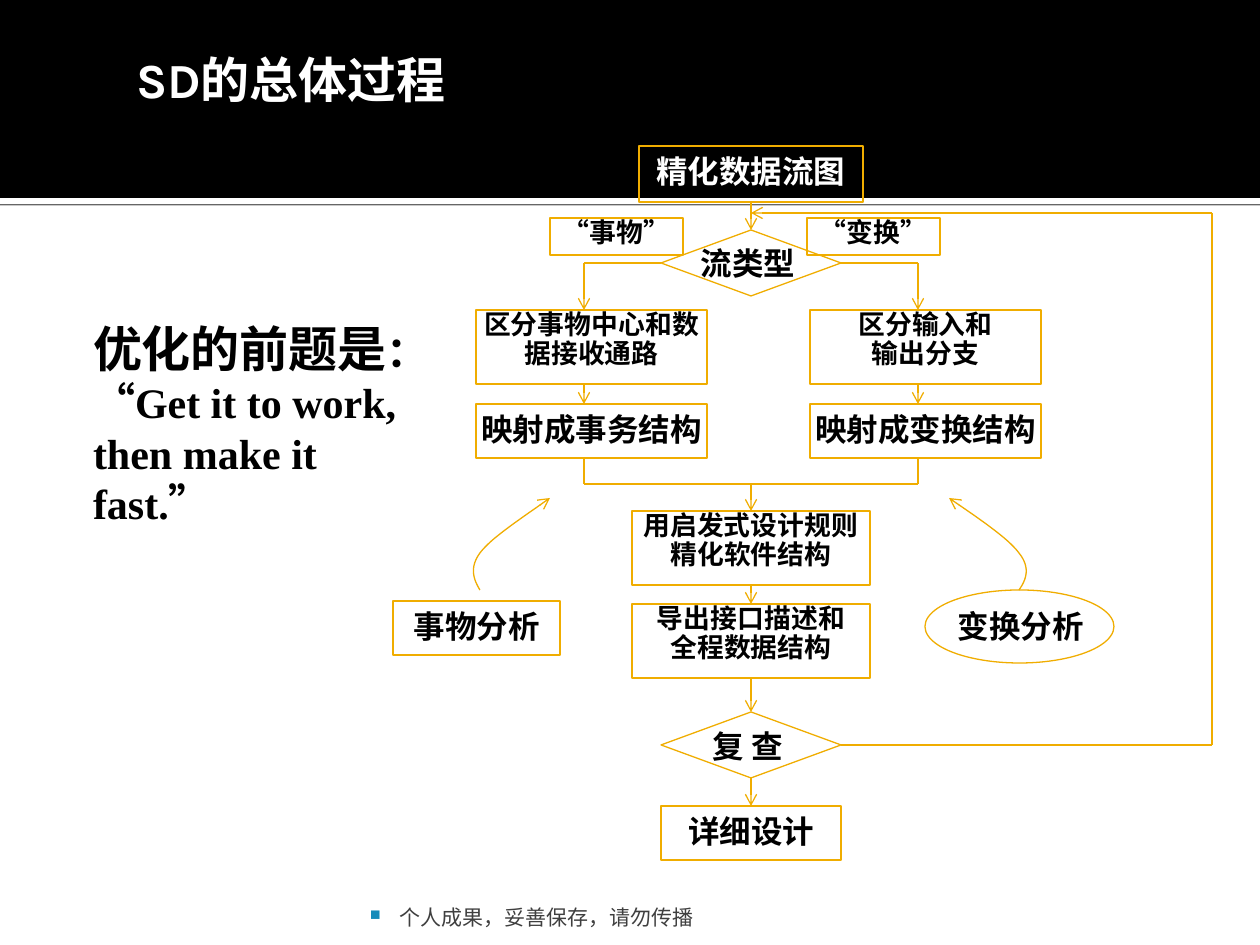
from lxml import etree
from pptx import Presentation
from pptx.dml.color import RGBColor
from pptx.enum.shapes import MSO_CONNECTOR, MSO_SHAPE as SHAPE
from pptx.enum.text import MSO_ANCHOR as ANCHOR, MSO_AUTO_SIZE, PP_ALIGN as ALIGN
from pptx.oxml.ns import qn
from pptx.util import Pt

PX = 914400 / 126
COLORS = {"black": "000000", "white": "FFFFFF", "amber": "F0AD00",
          "gray": "3F3F3F", "blue": "168BBA"}
SERIF, SANS, HAN = "Times New Roman", "Karla", "Noto Sans CJK SC"


def px(*values):
    return [round(v * PX) for v in values]


def write(s, text, size=18, font=SERIF, color="black", bold=True, align=ALIGN.CENTER,
          insets=(3, 1, 3, 1), spacing=None, before=None, anchor=ANCHOR.TOP):
    """Fill s with text: a string (one paragraph a line) or a list of (run, size)."""
    tf = s.text_frame
    tf.word_wrap = True
    tf.vertical_anchor = anchor
    tf.margin_left, tf.margin_top, tf.margin_right, tf.margin_bottom = px(*insets)
    lines = [[(t, size)] for t in text.split("\n")] if isinstance(text, str) else [text]
    for i, line in enumerate(lines):
        p = tf.add_paragraph() if i else tf.paragraphs[0]
        p.alignment = align
        if spacing:
            p.line_spacing = spacing
        if before is not None:
            p.space_before = Pt(before)
        for run_text, run_size in line:
            r = p.add_run()
            r.text = run_text
            r.font.name, r.font.size, r.font.bold = font, Pt(run_size), bold
            r.font.color.rgb = RGBColor.from_string(COLORS[color])
            etree.SubElement(r.font._element, qn("a:ea"), typeface=HAN)


prs = Presentation()
prs.slide_width, prs.slide_height = px(1260, 945)
slide = prs.slides.add_slide(prs.slide_layouts[5])
shapes = slide.shapes

# Header band with a white strip whose shadow draws the thin gray rule
for y, h, color in [(198, 6, "white"), (0, 198, "black")]:
    s = shapes.add_shape(SHAPE.RECTANGLE, *px(0, y, 1260, h))
    s.fill.solid()
    s.fill.fore_color.rgb = RGBColor.from_string(COLORS[color])
    s.line.fill.background()
    s.shadow.inherit = False
    if color == "white":
        effects = s._element.spPr.find(qn("a:effectLst"))
        shadow = etree.SubElement(effects, qn("a:outerShdw"), blurRad="0",
                                  dist=str(Pt(0.8)), dir="5400000", rotWithShape="0")
        shade = etree.SubElement(shadow, qn("a:srgbClr"), val=COLORS["black"])
        etree.SubElement(shade, qn("a:alpha"), val="60000")

# Title
title = shapes.title
shapes._spTree.append(title._element)  # in front of the band
title.left, title.top, title.width, title.height = px(123, 55, 397, 60)
write(title, "SD的总体过程", size=28, font=SANS, color="white", align=ALIGN.LEFT,
      insets=(13, 6, 13, 6), spacing=0.8, before=0)
title.text_frame.auto_size = MSO_AUTO_SIZE.NONE

# Footer note
note = shapes.add_textbox(*px(364, 892, 759, 38))
write(note, "个人成果，妥善保存，请勿传播", size=12, font=SANS, color="gray", bold=False,
      align=ALIGN.LEFT, insets=(6, 6, 6, 0), spacing=0.8, anchor=ANCHOR.BOTTOM)
pPr = note.text_frame.paragraphs[0]._p.get_or_add_pPr()
hang = px(30)[0]
pPr.set("marL", str(hang))
pPr.set("indent", str(-hang))
bullet = etree.SubElement(pPr, qn("a:buClr"))
etree.SubElement(bullet, qn("a:srgbClr"), val=COLORS["blue"])
etree.SubElement(pPr, qn("a:buSzPct"), val="70000")
etree.SubElement(pPr, qn("a:buChar"), char="■")

# Flowchart nodes
MID, LEFT, RIGHT = 751, 584, 918  # flow axes
small = {"size": 15.3, "spacing": 0.9}
large = {"insets": (3, 6, 3, 1)}
nodes = [
    ("yes_label", SHAPE.RECTANGLE, (807, 218, 133, 37), "“变换”", small),
    ("no_label", SHAPE.RECTANGLE, (550, 218, 133, 37), "“事物”", small),
    ("refine", SHAPE.RECTANGLE, (639, 146, 224, 56), "精化数据流图",
     {"color": "white", "insets": (13, 6, 13, 6)}),
    ("type", SHAPE.DIAMOND, (661, 230, 180, 66), "", {}),
    ("split_left", SHAPE.RECTANGLE, (476, 310, 231, 74), "区分事物中心和数据接收通路", small),
    ("split_right", SHAPE.RECTANGLE, (810, 310, 231, 74), "区分输入和\n输出分支", small),
    ("map_left", SHAPE.RECTANGLE, (476, 404, 231, 54), "映射成事务结构", large),
    ("map_right", SHAPE.RECTANGLE, (810, 404, 231, 54), "映射成变换结构", large),
    ("heuristics", SHAPE.RECTANGLE, (632, 511, 238, 74), "用启发式设计规则精化软件结构", small),
    ("export", SHAPE.RECTANGLE, (632, 604, 238, 74), "导出接口描述和\n全程数据结构", small),
    ("review", SHAPE.DIAMOND, (661, 712, 180, 66), "", {}),
    ("detail", SHAPE.RECTANGLE, (661, 806, 180, 54), "详细设计", large),
    ("transform", SHAPE.OVAL, (925, 590, 189, 73), "", {}),
    ("transaction", SHAPE.RECTANGLE, (393, 601, 167, 54), "事物分析", large),
]
node = {}
for name, kind, box, text, style in nodes:
    s = node[name] = shapes.add_shape(kind, *px(*box))
    s.fill.background()
    s.line.color.rgb = RGBColor.from_string(COLORS["amber"])
    s.line.width = Pt(0.75)
    s.shadow.inherit = False
    if text:
        write(s, text, **style)

# Captions laid over the diamonds and the ellipse
for box, text, style in [
    ((689, 243, 118, 55), "流类型", {}),
    ((689, 726, 118, 55), "复 查", {"font": HAN}),
    ((937, 601, 167, 54), "变换分析", large),
]:
    write(shapes.add_textbox(*px(*box)), text, **style)

# Connectors: ends, arrowhead, then (node, site) joined at the start and the end
BUS, LOOP_Y, LOOP_X = 484, 213, 1212
links = [
    ((MID, 202, MID, 230), "tailEnd", ("refine", 2), ("type", 0)),
    ((661, 263, LEFT, 263), None, ("type", 1), None),
    ((841, 263, RIGHT, 263), None, ("type", 3), None),
    ((MID, BUS, MID, 511), "tailEnd", None, ("heuristics", 0)),
    ((LEFT, BUS, RIGHT, BUS), None, None, None),
    ((MID, 585, MID, 604), "tailEnd", ("heuristics", 2), ("export", 0)),
    ((MID, 678, MID, 712), "tailEnd", ("export", 2), ("review", 0)),
    ((MID, 778, MID, 806), "tailEnd", ("review", 2), ("detail", 0)),
    ((841, 745, LOOP_X, 745), None, ("review", 3), None),
    ((LOOP_X, LOOP_Y, LOOP_X, 745), None, None, None),
    ((MID, LOOP_Y, LOOP_X, LOOP_Y), "headEnd", None, None),
]
for x in (LEFT, RIGHT):
    links += [((x, 263, x, 310), "tailEnd", None, None),
              ((x, 384, x, 404), "tailEnd", None, None),
              ((x, 458, x, BUS), None, None, None)]
strokes = []
for ends, arrow, start, end in links:
    c = shapes.add_connector(MSO_CONNECTOR.STRAIGHT, *px(*ends))
    if start:
        c.begin_connect(node[start[0]], start[1])
    if end:
        c.end_connect(node[end[0]], end[1])
    etree.SubElement(c._element.spPr, qn("a:effectLst"))
    strokes.append((c, arrow))

# Curved pointers, each two cubic Béziers
curves = [
    [(1019, 590), (1026, 580), (1031, 568), (1019, 553), (1008, 538), (978, 518), (949, 498)],
    [(480, 590), (474, 580), (469, 568), (480, 553), (491, 538), (522, 518), (550, 498)],
]
STEPS = 16
for pts in curves:
    path_points = []
    for a, b, c, d in (pts[:4], pts[3:]):
        for i in range(1, STEPS + 1):
            t = i / STEPS
            u = 1 - t
            path_points.append(tuple(px(*(
                u**3 * a[k] + 3 * u * u * t * b[k] + 3 * u * t * t * c[k] + t**3 * d[k]
                for k in (0, 1)))))
    builder = shapes.build_freeform(*px(*pts[0]))
    builder.add_line_segments(path_points, close=False)
    s = builder.convert_to_shape()
    s.fill.background()
    s.shadow.inherit = False
    strokes.append((s, "tailEnd"))

for s, arrow in strokes:
    s.line.color.rgb = RGBColor.from_string(COLORS["amber"])
    s.line.width = Pt(0.75)
    if arrow:
        etree.SubElement(s.line._get_or_add_ln(), qn("a:" + arrow), type="arrow")

# Premise of optimisation
premise = shapes.add_textbox(*px(80, 312, 357, 223))
write(premise, [("优化的前题是", 28), ("：“Get it to work, then make it fast.”", 24)],
      align=ALIGN.LEFT, insets=(13, 6, 13, 6))

prs.save("out.pptx")
